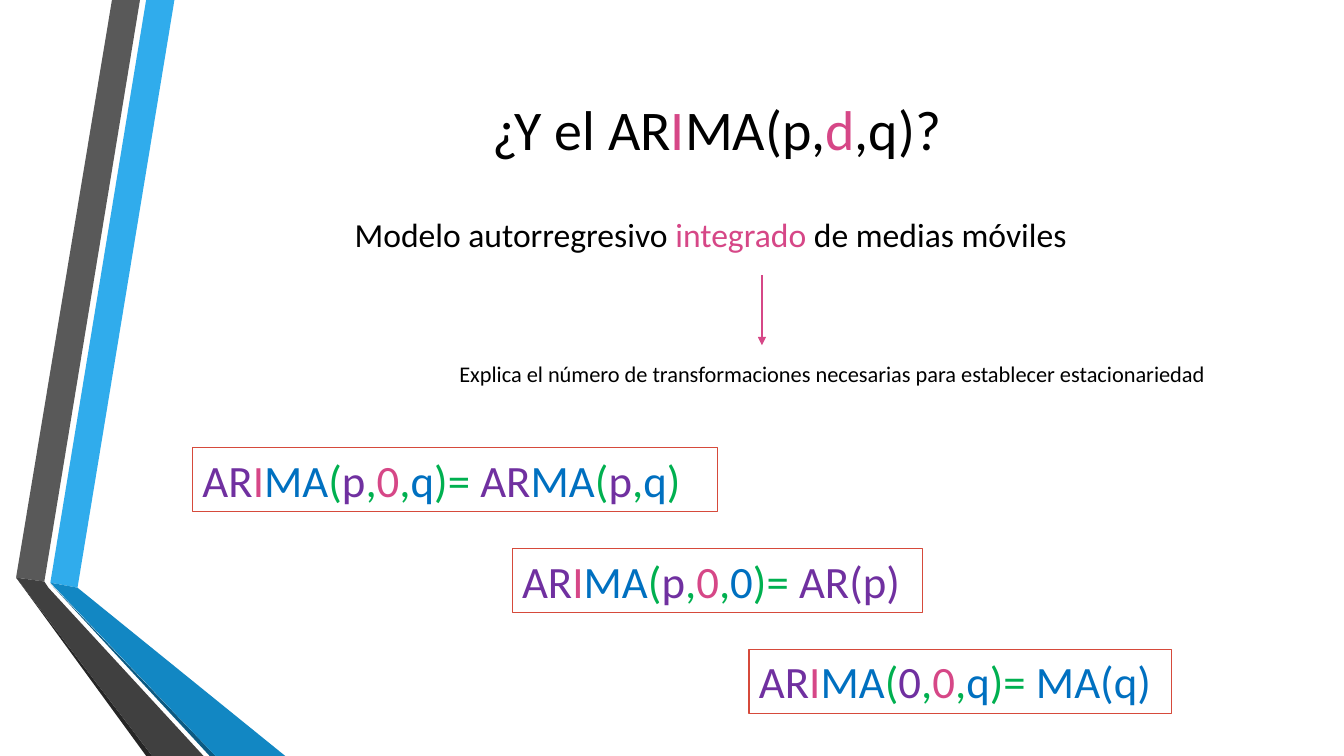
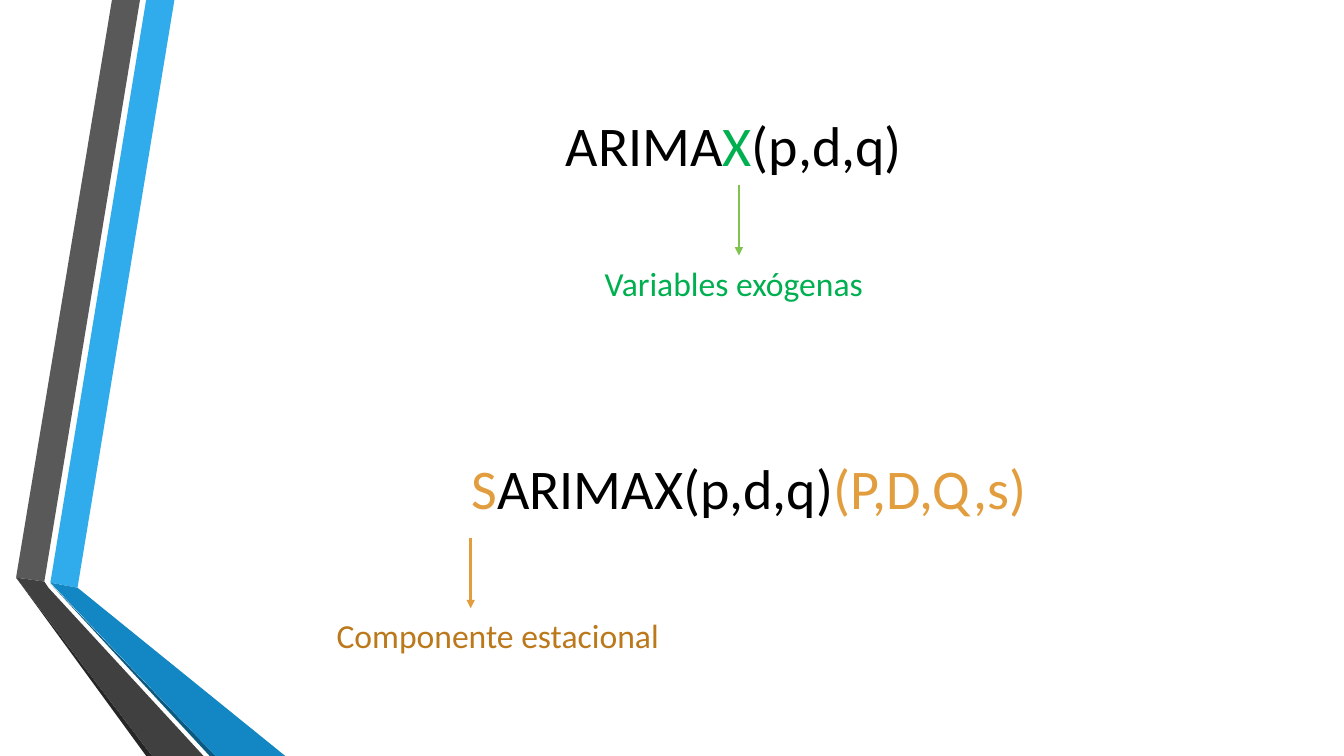
"""Build two slides on the ARIMA family of models."""
import pptx
import pptx.dml.color
import pptx.enum.shapes
import pptx.enum.text
import pptx.oxml
import pptx.oxml.ns
import pptx.util
from lxml import etree

Pt = pptx.util.Pt
Align = pptx.enum.text.PP_ALIGN
Anchor = pptx.enum.text.MSO_ANCHOR

THEME = {
    "font": "Calibri",
    "size": {"title": 40, "formula": 32, "lead": 24, "note": 16},
    "color": {
        "black": "000000", "pink": "D64787", "violet": "7030A0",
        "blue": "0070C0", "green": "00B050", "lime": "80C34F",
        "amber": "E29D3E", "brown": "BC791C", "red": "D64A3B",
        "sky": "30ACEC", "ocean": "1287C3", "navy": "0C5A82",
        "gray": "595959", "coal": "404040", "dark": "262626",
    },
}

BANDS = [
    ("sky", [(36, 416.2), (55.4, 419.8), (124.6, 0), (104.4, 0)]),
    ("gray", [(100, 0), (80, 0), (11.5, 412.6), (31.7, 415.4)]),
    ("dark", [(11.5, 412.6), (104.4, 540), (108.7, 540)]),
    ("navy", [(36, 416.9), (149.8, 540), (154, 540)]),
    ("ocean", [(36, 416.2), (154, 540), (203.8, 540), (55.4, 419.8)]),
    ("coal", [(145.4, 540), (34.6, 419.8), (31.7, 415.4), (11.5, 412.6),
              (108.7, 540)]),
]

HEAD = [("AR", "violet"), ("I", "pink"), ("MA", "blue")]
FORMULAS = [
    (137.5, 375, "p0q", [(" AR", "violet"), ("MA", "blue"), ("(", "green"),
                         ("p", "violet"), (",", "green"), ("q", "blue"),
                         (")", "green")]),
    (365.8, 293, "p00", [(" AR(p)", "violet")]),
    (535, 301.7, "00q", [(" MA(q)", "blue")]),
]
FIRST, STEP, HIGH = 319.7, 72, 46
WIDE, TALL, SHAFT = 789, 138, 50

SLIDES = [
    {
        "title": (117.4, 22.3, [("¿Y el AR", "black"), ("I", "pink"),
                                ("MA(p,", "black"), ("d", "pink"),
                                (",q)?", "black")]),
        "heads": [],
        "notes": [
            (246.2, 149, 577.4, 36, "lead",
             [("Modelo autorregresivo ", "black"), ("integrado", "pink"),
              (" de medias móviles", "black")]),
            (321, 253.4, 606, 26.6, "note",
             [("Explica el número de transformaciones necesarias "
               "para establecer estacionariedad", "black")]),
        ],
        "arrows": [(544.3, 196.6, "pink")],
        "formulas": FORMULAS,
    },
    {
        "title": (140.4, 278.6, [("S", "amber"), ("ARIMAX(p,d,q)", "black"),
                                 ("(P,D,Q,s)", "amber")]),
        "heads": [(129.6, 33.8, [("ARIMA", "black"), ("X", "green"),
                                 ("(p,d,q)", "black")])],
        "notes": [
            (424.8, 184.3, 221, 36, "lead",
             [("Variables exógenas", "green")]),
            (233.3, 435.6, 278, 36, "lead",
             [("Componente estacional", "brown")]),
        ],
        "arrows": [(527.8, 132.5, "lime"), (336.2, 384.5, "amber")],
        "formulas": [],
    },
]


def tint(name):
    """Return a theme colour."""
    return pptx.dml.color.RGBColor.from_string(THEME["color"][name])


def write(shape, runs, *, size, align=Align.LEFT, anchor=Anchor.TOP):
    """Put coloured runs of text into a shape."""
    frame = shape.text_frame
    frame.auto_size = pptx.enum.text.MSO_AUTO_SIZE.NONE
    frame.word_wrap = True
    frame.vertical_anchor = anchor
    para = frame.paragraphs[0]
    para.alignment = align
    for text, color in runs:
        run = para.add_run()
        run.text = text
        run.font.name = THEME["font"]
        run.font.size = Pt(THEME["size"][size])
        run.font.color.rgb = tint(color)


def place(shape, *box):
    """Move a shape to a box in points."""
    shape.left, shape.top, shape.width, shape.height = map(Pt, box)


def head(shape, left, top, runs):
    """Format a shape as a centred heading."""
    place(shape, left, top, WIDE, TALL)
    write(shape, runs, size="title", align=Align.CENTER, anchor=Anchor.MIDDLE)


def arrow(slide, left, top, color):
    """Draw an arrow that points down."""
    kind = pptx.enum.shapes.MSO_CONNECTOR.STRAIGHT
    link = slide.shapes.add_connector(
        kind, Pt(left), Pt(top), Pt(left), Pt(top + SHAFT))
    link.line.color.rgb = tint(color)
    link.line.width = Pt(1.75)
    qn = pptx.oxml.ns.qn
    props = link.element.spPr
    etree.SubElement(props.find(qn("a:ln")), qn("a:tailEnd"), type="triangle")
    etree.SubElement(props, qn("a:effectLst"))


def formula(slide, row, left, width, args, result):
    """Draw a framed formula on its row."""
    box = slide.shapes.add_shape(
        pptx.enum.shapes.MSO_SHAPE.RECTANGLE,
        Pt(left), Pt(FIRST + row * STEP), Pt(width), Pt(HIGH))
    box.shadow.inherit = False
    box.fill.background()
    box.line.color.rgb = tint("red")
    box.line.width = Pt(0.75)
    first, mid, last = args
    call = [("(", "green"), (first, "violet"), (",", "green"), (mid, "pink"),
            (",", "green"), (last, "blue"), (")=", "green")]
    write(box, HEAD + call + result, size="formula")


def bands(deck, slide):
    """Draw the bands and move them to the slide master."""
    tree = deck.slide_master.shapes.element
    for spot, (color, dots) in enumerate(BANDS, 2):
        start, *rest = [(Pt(x), Pt(y)) for x, y in dots]
        pen = slide.shapes.build_freeform(*start)
        pen.add_line_segments(rest, close=True)
        band = pen.convert_to_shape()
        band.shadow.inherit = False
        band.fill.solid()
        band.fill.fore_color.rgb = tint(color)
        band.line.fill.background()
        tree.insert(spot, band.element)


def build(deck, page):
    """Add one slide and return it."""
    slide = deck.slides.add_slide(deck.slide_layouts.get_by_name("Title Only"))
    head(slide.shapes.title, *page["title"])
    for item in page["heads"]:
        head(slide.shapes.add_textbox(0, 0, 0, 0), *item)
    for *box, size, runs in page["notes"]:
        note = slide.shapes.add_textbox(*map(Pt, box))
        write(note, runs, size=size)
    for item in page["arrows"]:
        arrow(slide, *item)
    for row, item in enumerate(page["formulas"]):
        formula(slide, row, *item)
    return slide


def main():
    """Build and save the deck."""
    deck = pptx.Presentation()
    deck.slide_width, deck.slide_height = Pt(960), Pt(540)
    made = [build(deck, page) for page in SLIDES]
    bands(deck, made[0])
    deck.save("out.pptx")


if __name__ == "__main__":
    main()
